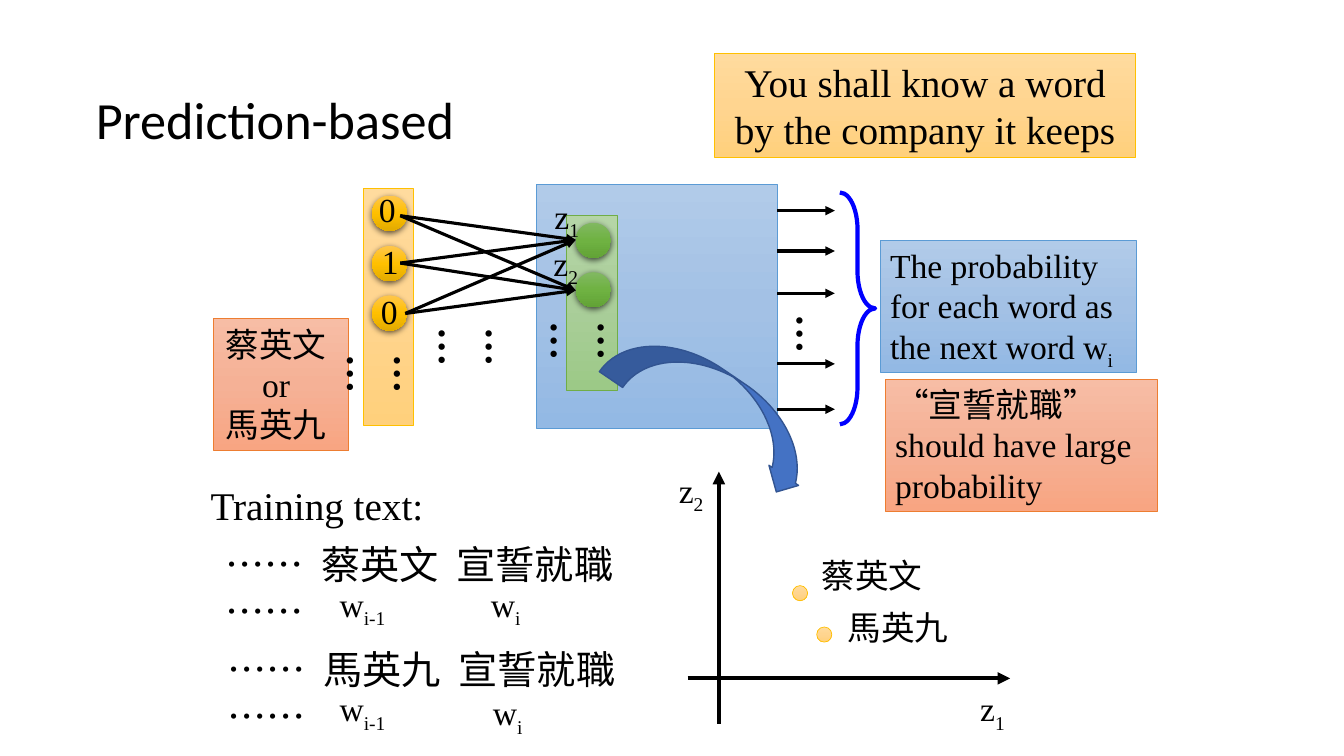
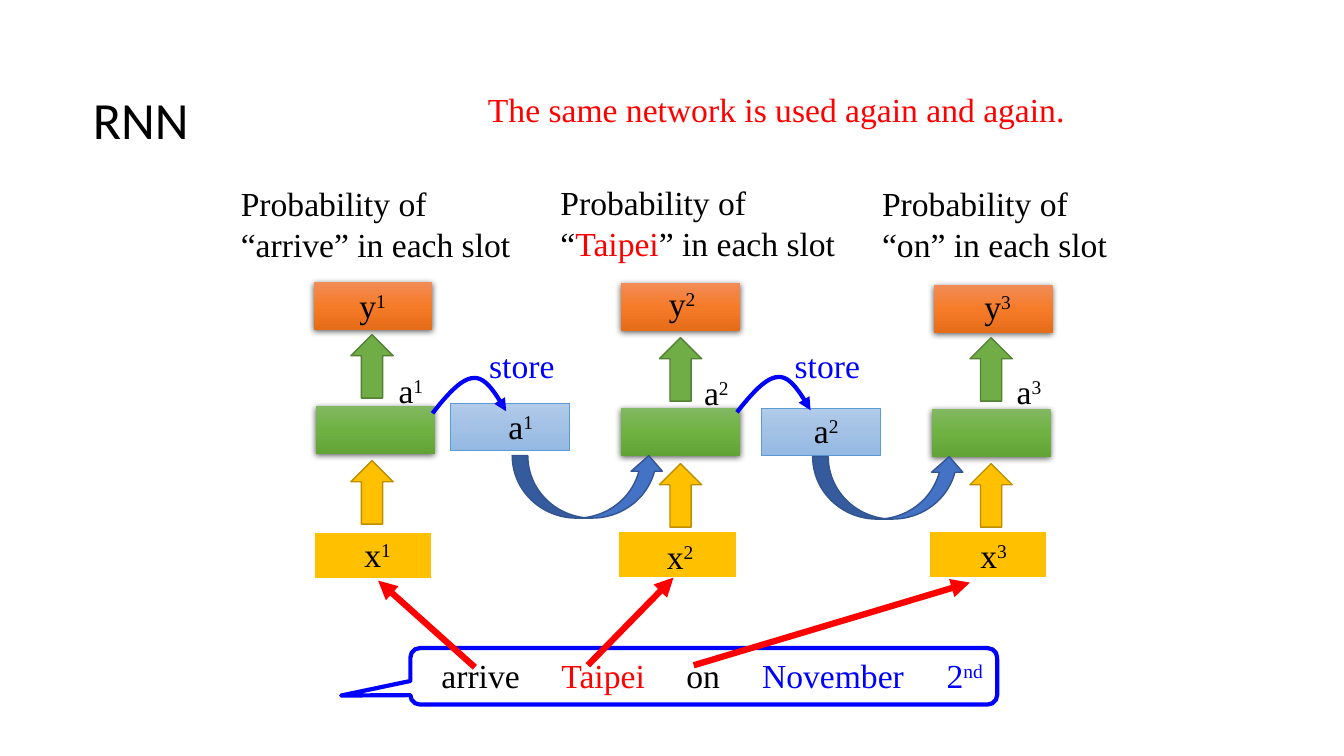
from copy import deepcopy

from lxml import etree
from pptx import Presentation
from pptx.dml.color import RGBColor
from pptx.enum import shapes, text
from pptx.oxml.ns import qn
from pptx.util import Inches, Pt

rgb = RGBColor.from_string
KIND = shapes.MSO_SHAPE
CENTER = text.PP_ALIGN.CENTER
BLACK, RED, BLUE = "000000", "FF0000", "0000FF"
GOLD, LEAF = "FFC000", "70AD47"
# Gradients run from top to bottom.
PALE_GOLD = ("FFDB9E", "FFD590", "FFD07C")
PALE_BLUE = ("B1CBE9", "A3C1E5", "93B9E4")
PALE_GREEN = ("B5D5A7", "AACE9A", "9CC987")
PALE_RED = ("F7BDA5", "F5B196", "F8A582")
DEEP_GOLD = ("FFC64B", "FFC000", "E3AB00")
DEEP_GREEN = ("81B861", "6FB242", "62A336")
DEEP_ORANGE = ("F18C57", "F67B28", "E56C19")
CURVED_FILL, CURVED_LINE = "4472C4", "325491"


def draw(slide, kind, at, fill=None, line=None, width=0.5, adjust=(), raised=False):
    """Add a preset shape; a tuple as fill is a gradient, raised gives a shadow."""
    shape = slide.shapes.add_shape(kind, *map(Inches, at))
    for index, value in enumerate(adjust):
        shape.adjustments[index] = value
    if fill is None:
        shape.fill.background()
    elif isinstance(fill, str):
        shape.fill.solid()
        shape.fill.fore_color.rgb = rgb(fill)
    else:
        shape.fill.gradient()
        shape.fill.gradient_angle = 270
        stops = shape.element.spPr.find(qn("a:gradFill")).find(qn("a:gsLst"))
        stops.insert(1, deepcopy(stops[0]))
        for index, stop in enumerate(shape.fill.gradient_stops):
            stop.position = index / 2
            stop.color.rgb = rgb(fill[index])
    if line:
        shape.line.color.rgb = rgb(line)
        shape.line.width = Pt(width)
    else:
        shape.line.fill.background()
    shape.shadow.inherit = False
    if raised:
        effects = shape.element.spPr.find(qn("a:effectLst"))
        shadow = etree.SubElement(effects, qn("a:outerShdw"), blurRad="57150",
                                  dist="19050", dir="5400000", algn="ctr", rotWithShape="0")
        shade = etree.SubElement(shadow, qn("a:srgbClr"), val=BLACK)
        etree.SubElement(shade, qn("a:alpha"), val="63000")
    return shape


def write(shape, *runs, size=24, align=text.PP_ALIGN.LEFT, bold=False, tabs=()):
    """Add a paragraph of (words, colour, baseline percent) runs; a plain string is black."""
    frame = shape.text_frame
    frame.word_wrap = True
    frame.auto_size = text.MSO_AUTO_SIZE.SHAPE_TO_FIT_TEXT
    frame.vertical_anchor = text.MSO_ANCHOR.TOP
    paragraph = frame.add_paragraph() if frame.text else frame.paragraphs[0]
    paragraph.alignment = align
    if tabs:
        stops = etree.SubElement(paragraph._p.get_or_add_pPr(), qn("a:tabLst"))
        for position in tabs:
            etree.SubElement(stops, qn("a:tab"), pos=str(Inches(position)), algn="l")
    for item in runs:
        words, colour, baseline = (item, BLACK, 0) if isinstance(item, str) else item
        run = paragraph.add_run()
        run.text = words
        run.font.name = "Times New Roman"
        run.font.size = Pt(size)
        run.font.bold = bold
        run.font.color.rgb = rgb(colour)
        if baseline:
            run.font._element.set("baseline", str(baseline * 1000))


presentation = Presentation()
presentation.slide_width, presentation.slide_height = Inches(13.33), Inches(7.5)
slides = []
for words, left in (("Prediction-based", 0.95), ("RNN", 0.92)):
    slide = presentation.slides.add_slide(presentation.slide_layouts[5])
    title = slide.shapes.title
    title.left, title.top, title.width, title.height = map(Inches, (left, 0.93, 12.3, 0.57))
    frame = title.text_frame
    frame.auto_size = text.MSO_AUTO_SIZE.NONE
    frame.vertical_anchor = text.MSO_ANCHOR.MIDDLE
    frame.margin_left = frame.margin_right = frame.margin_top = frame.margin_bottom = 0
    paragraph = frame.paragraphs[0]
    paragraph.alignment = text.PP_ALIGN.LEFT
    paragraph.line_spacing = 0.9
    run = paragraph.add_run()
    run.text = words
    run.font.name, run.font.size = "Calibri", Pt(37.3)
    run.font.color.rgb = rgb(BLACK)
    slides.append(slide)
prediction, rnn = slides
arrows = []  # (line shape, colour, width)

# Prediction-based: training text
heading = prediction.shapes.add_textbox(*map(Inches, (1.99, 4.73, 2.73, 0.57)))
write(heading, "Training text:", size=28)
for left, top, name in ((2.14, 5.31, "蔡英文"), (2.16, 6.35, "馬英九")):
    sentence = prediction.shapes.add_textbox(*map(Inches, (left, top, 4.46, 0.57)))
    write(sentence, f"……\t{name}\t宣誓就職 ……", size=28, tabs=(0.95, 2.29))

subscripts = [
    (3.09, 5.74, 1.01, "w", "i-1"), (3.09, 6.78, 1.01, "w", "i-1"),
    (4.51, 5.74, 1.01, "w", "i"), (4.53, 6.82, 1.01, "w", "i"),
    (9.51, 6.78, 0.67, "z", "1"), (6.52, 4.61, 0.67, "z", "2"),
]
for left, top, width, letter, index in subscripts:
    label = prediction.shapes.add_textbox(*map(Inches, (left, top, width, 0.5)))
    write(label, letter, (index, BLACK, -25), align=CENTER)

# Prediction-based: boxes around the network
likely = draw(prediction, KIND.RECTANGLE, (8.78, 3.76, 2.7, 1.31), PALE_RED, "ED7D31")
write(likely, "“宣誓就職” should have large probability")
quote = draw(prediction, KIND.RECTANGLE, (7.09, 0.53, 4.17, 1.03), PALE_GOLD, GOLD)
write(quote, "You shall know a word by the company it keeps", size=28, align=CENTER)
quote.text_frame.auto_size = text.MSO_AUTO_SIZE.NONE
quote.text_frame.vertical_anchor = text.MSO_ANCHOR.MIDDLE
names = draw(prediction, KIND.RECTANGLE, (2.12, 3.16, 1.34, 1.31), PALE_RED, "ED7D31")
names.text_frame.margin_right = Inches(0.2)
for words in ("蔡英文", "or", "馬英九"):
    write(names, words, align=CENTER)
draw(prediction, KIND.RIGHT_BRACE, (8.33, 1.91, 0.35, 2.3), None, BLUE, 3, (1.049, 0.5))
output = draw(prediction, KIND.RECTANGLE, (8.73, 2.38, 2.54, 1.31), PALE_BLUE, "5B9BD5")
write(output, "The probability for each word as the next word w", ("i", BLACK, -25))

# Prediction-based: plot of the two words
for left, top, name_left, name_top, name in (
        (7.86, 5.81, 8.05, 5.46, "蔡英文"), (8.1, 6.22, 8.31, 5.97, "馬英九")):
    draw(prediction, KIND.OVAL, (left, top, 0.15, 0.15), PALE_GOLD, GOLD)
    label = prediction.shapes.add_textbox(*map(Inches, (name_left, name_top, 1.4, 0.5)))
    write(label, name)

# Prediction-based: network layers
draw(prediction, KIND.RECTANGLE, (5.32, 1.83, 2.39, 2.42), PALE_BLUE, "5B9BD5")
draw(prediction, KIND.RECTANGLE, (3.6, 1.87, 0.5, 2.35), PALE_GOLD, GOLD)
draw(prediction, KIND.RECTANGLE, (5.62, 2.14, 0.5, 1.73), PALE_GREEN, LEAF)
for left, tops, gradient in ((3.69, (1.94, 2.44, 2.93), DEEP_GOLD),
                             (5.71, (2.21, 2.7), DEEP_GREEN)):
    for top in tops:
        draw(prediction, KIND.OVAL, (left, top, 0.35, 0.35), gradient, raised=True)
for left, top, width, dots in ((7.77, 3.02, 0.57, "…"), (3.6, 3.6, 0.93, "……"),
                               (5.62, 3.27, 0.93, "……"), (4.51, 3.33, 0.93, "……")):
    label = prediction.shapes.add_textbox(*map(Inches, (left, top, width, 0.57)))
    label.rotation = 90
    write(label, dots, size=28, bold=True)
for left, top, digit in ((3.66, 1.83, "0"), (3.69, 2.34, "1"), (3.68, 2.84, "0")):
    label = prediction.shapes.add_textbox(*map(Inches, (left, top, 0.43, 0.5)))
    write(label, digit)
for left, top, index in ((5.4, 1.89, "1"), (5.39, 2.36, "2")):
    label = prediction.shapes.add_textbox(*map(Inches, (left, top, 0.6, 0.5)))
    write(label, "z", (index, BLACK, -25))

axes = [(6.82, 6.73, 10.02, 6.73), (7.13, 7.18, 7.13, 4.68)]
outputs = [(7.71, y, 8.28, y) for y in (2.09, 2.49, 2.91, 3.61, 4.06)]
weights = [(x, y, 5.71, unit) for unit in (2.38, 2.88)
           for x, y in ((3.97, 2.14), (3.97, 2.61), (4.02, 3.11))]
for ends, width in ((axes, 3), (outputs + weights, 2.25)):
    for points in ends:
        line = prediction.shapes.add_connector(
            shapes.MSO_CONNECTOR.STRAIGHT, *map(Inches, points))
        arrows.append((line, BLACK, width))
to_plot = draw(prediction, KIND.CURVED_LEFT_ARROW, (6.74, 2.89, 0.71, 2.3),
               CURVED_FILL, CURVED_LINE, 1, (0.393, 0.5, 0.25))
to_plot.rotation = 304.2

# RNN: one column per word
columns = [  # left and top of the input, hidden and output boxes; left and top of the arrows
    ((3.11, 5.28), (3.13, 4.03), (3.11, 2.8), (3.48, 3.32)),
    ((6.13, 5.27), (6.16, 4.05), (6.16, 2.81), (6.54, 3.35)),
    ((9.21, 5.27), (9.24, 4.06), (9.26, 2.83), (9.62, 3.35)),
]
box_size, arrow_size = (1.18, 0.47), (0.42, 0.63)
for word_input, hidden, result, (left, top) in columns:
    draw(rnn, KIND.RECTANGLE, word_input + box_size, GOLD, "FFFFFF", 1.5)
    draw(rnn, KIND.RECTANGLE, hidden + box_size, DEEP_GREEN, raised=True)
    draw(rnn, KIND.RECTANGLE, result + box_size, DEEP_ORANGE, raised=True)
    draw(rnn, KIND.UP_ARROW, (left, top + 1.25) + arrow_size, GOLD, "BD8E00", 1)
    draw(rnn, KIND.UP_ARROW, (left, top) + arrow_size, LEAF, "538035", 1)

# RNN: memory between the columns
memories = [  # memory box, curved arrow, start of the store curve, store label
    ((4.47, 4.0), (5.08, 4.52), (4.29, 4.1), (4.6, 3.37)),
    ((7.55, 4.05), (8.06, 4.53), (7.31, 4.09), (7.63, 3.37)),
]
curve = ((0, 0), (0.14, -0.18), (0.29, -0.35), (0.41, -0.35),
         (0.53, -0.36), (0.63, -0.19), (0.73, -0.02))
steps = 12
for memory, recall, (x, y), store in memories:
    draw(rnn, KIND.RECTANGLE, memory + box_size, PALE_BLUE, "5B9BD5")
    draw(rnn, KIND.CURVED_UP_ARROW, recall + (1.51, 0.62), CURVED_FILL, CURVED_LINE, 1)
    label = rnn.shapes.add_textbox(*map(Inches, store + (1.15, 0.5)))
    write(label, ("store", BLUE, 0), align=CENTER)
    points = []
    for controls in (curve[:4], curve[3:]):  # two cubic Bezier pieces
        for step in range(1, steps + 1):
            t = step / steps
            factors = ((1 - t) ** 3, 3 * t * (1 - t) ** 2, 3 * t * t * (1 - t), t ** 3)
            dx, dy = (sum(f * c[axis] for f, c in zip(factors, controls)) for axis in (0, 1))
            points.append((Inches(x + dx), Inches(y + dy)))
    builder = rnn.shapes.build_freeform(Inches(x), Inches(y))
    builder.add_line_segments(points, close=False)
    line = builder.convert_to_shape()
    line.fill.background()
    arrows.append((line, BLUE, 3))

superscripts = [
    ("x", 1, 3.25, 5.25), ("x", 2, 6.25, 5.27), ("x", 3, 9.36, 5.26),
    ("y", 1, 3.2, 2.78), ("y", 2, 6.27, 2.76), ("y", 3, 9.4, 2.79),
    ("a", 1, 3.58, 3.62), ("a", 2, 6.61, 3.64), ("a", 3, 9.71, 3.63),
    ("a", 1, 4.67, 3.98), ("a", 2, 7.7, 4.02),
]
for letter, index, left, top in superscripts:
    label = rnn.shapes.add_textbox(*map(Inches, (left, top, 0.99, 0.5)))
    write(label, letter, (str(index), BLACK, 30), align=CENTER)

# RNN: remarks and the spoken sentence
remark = rnn.shapes.add_textbox(*map(Inches, (4.71, 0.83, 5.98, 0.5)))
write(remark, ("The same network is used again and again.", RED, 0), align=CENTER)
for left, top, width, word, colour in (
        (2.29, 1.77, 2.95, "arrive", BLACK), (5.46, 1.76, 2.95, "Taipei", RED),
        (8.65, 1.77, 2.55, "on", BLACK)):
    label = rnn.shapes.add_textbox(*map(Inches, (left, top, width, 0.91)))
    write(label, "Probability of “", (word, colour, 0), "” in each slot")
sentence = rnn.shapes.add_textbox(*map(Inches, (4.28, 6.45, 5.8, 0.5)))
write(sentence, "arrive\t", ("Taipei\t", RED, 0), "on\t", ("November\t2", BLUE, 0),
      ("nd", BLUE, 30), tabs=(1.19, 2.43, 3.18, 5.01))
draw(rnn, KIND.ROUNDED_RECTANGULAR_CALLOUT, (4.07, 6.43, 5.82, 0.56), None, BLUE, 3,
     (-0.618, 0.341, 0.167))
for points in ((4.71, 6.62, 3.75, 5.76), (5.83, 6.6, 6.68, 5.73), (6.88, 6.6, 9.62, 5.78)):
    line = rnn.shapes.add_connector(shapes.MSO_CONNECTOR.STRAIGHT, *map(Inches, points))
    arrows.append((line, RED, 4.5))

for line, colour, width in arrows:
    line.line.color.rgb = rgb(colour)
    line.line.width = Pt(width)
    properties = line.element.spPr
    etree.SubElement(properties.find(qn("a:ln")), qn("a:tailEnd"), type="triangle")
    etree.SubElement(properties, qn("a:effectLst"))

presentation.save("out.pptx")
